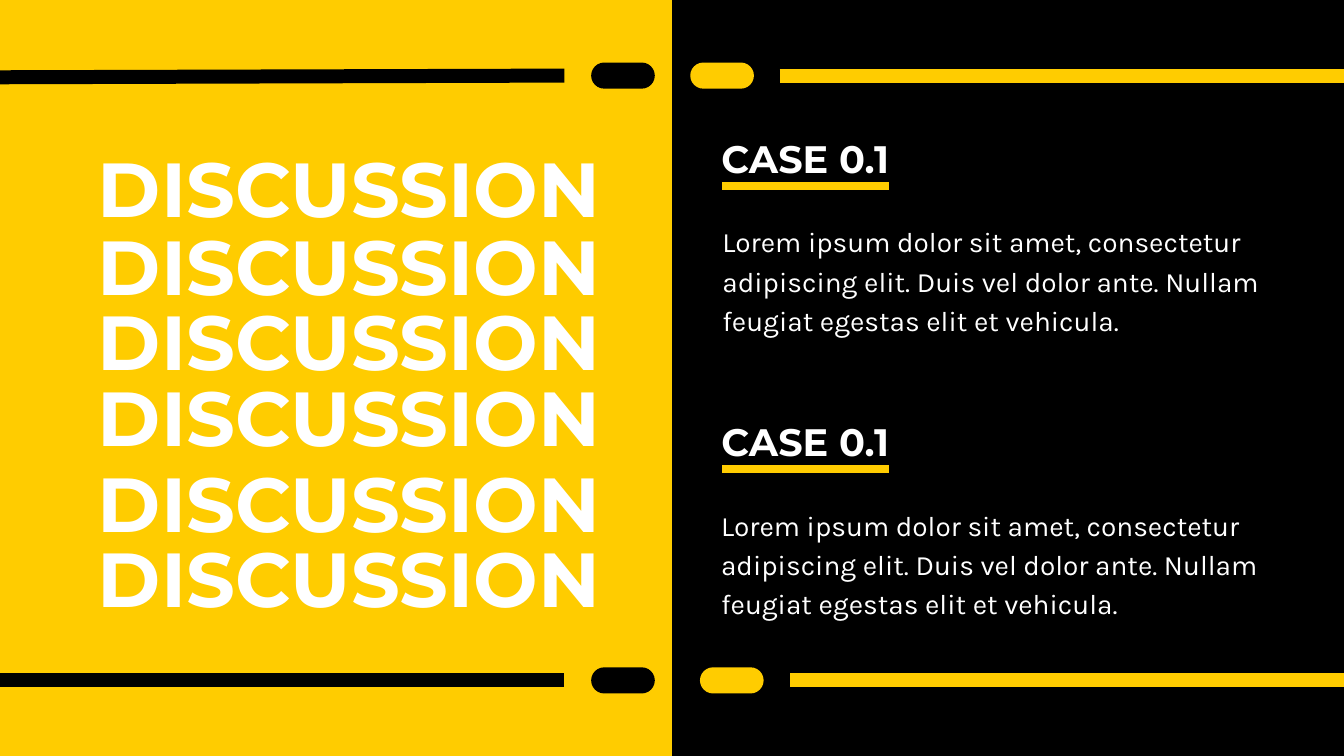
from lxml import etree
from pptx import Presentation
from pptx.dml.color import RGBColor
from pptx.enum import shapes, text
from pptx.oxml import ns
from pptx.util import Pt

YELLOW, BLACK, WHITE = "FFCC00", "000000", "FFFFFF"
WIDTH, HEIGHT = 1440, 810
HALF = WIDTH / 2
LOREM = ("Lorem ipsum dolor sit amet, consectetur adipiscing elit. "
         "Duis vel dolor ante. Nullam feugiat egestas elit et vehicula.")


def color(value):
    return RGBColor.from_string(value)


def add_block(slide, kind, box, fill):
    block = slide.shapes.add_shape(kind, *map(Pt, box))
    block.shadow.inherit = False
    block.fill.solid()
    block.fill.fore_color.rgb = color(fill)
    block.line.fill.background()
    return block


def add_rule(slide, start, end, stroke, weight):
    rule = slide.shapes.add_connector(
        shapes.MSO_CONNECTOR.STRAIGHT, *map(Pt, (*start, *end)))
    rule.line.color.rgb = color(stroke)
    rule.line.width = Pt(weight)
    etree.SubElement(rule._element.spPr, ns.qn("a:effectLst"))


def add_text(slide, box, words, *, font, size, spacing, bold=False,
             align=text.PP_ALIGN.LEFT):
    frame = slide.shapes.add_textbox(*map(Pt, box)).text_frame
    frame.word_wrap = True
    frame.margin_left = frame.margin_right = 0
    frame.margin_top = frame.margin_bottom = 0
    paragraph = frame.paragraphs[0]
    paragraph.alignment = align
    paragraph.line_spacing = Pt(spacing)
    run = paragraph.add_run()
    run.text = words
    run.font.name = font
    run.font.size = Pt(size)
    run.font.bold = bold
    run.font.color.rgb = color(WHITE)


def add_rail(slide, box, pill_left, line_start, line_end, fill, tilt=0):
    left, top, _, height = box
    middle = top + height / 2
    pill = add_block(slide, shapes.MSO_SHAPE.ROUNDED_RECTANGLE,
                     (left + pill_left, top, 68.2, height), fill)
    pill.adjustments[0] = 0.5
    add_rule(slide, (left + line_start, middle + tilt),
             (left + line_end, middle), fill, 15)


def add_title_panel(slide, box):
    left, top, width, _ = box
    add_block(slide, shapes.MSO_SHAPE.RECTANGLE, box, YELLOW)
    for rail_top, tilt in ((67, 1.8), (715, 0)):
        add_rail(slide, (left, top + rail_top, width, 28),
                 633.4, 0, 604.8, BLACK, tilt)
    for title_top in (134.6, 218.2, 298.1, 380.2, 472.3, 553):
        add_text(slide, (left + 80.6, top + title_top, 586.8, 110.2),
                 "DISCUSSION", font="Montserrat", size=82, spacing=114.8,
                 bold=True, align=text.PP_ALIGN.CENTER)


def add_case(slide, box, body_shift):
    left, top, width, _ = box
    add_text(slide, (left, top, 225.4, 54.7), "CASE 0.1",
             font="Montserrat", size=41, spacing=57.4, bold=True,
             align=text.PP_ALIGN.CENTER)
    add_rule(slide, (left + 23.8, top + 62.6), (left + 202.4, top + 62.6),
             YELLOW, 9)
    add_text(slide, (left + 23.8 + body_shift, top + 98.2, width - 23.8, 124.6),
             LOREM, font="Karla", size=30, spacing=42)


def add_case_panel(slide, box):
    left, top, width, _ = box
    add_block(slide, shapes.MSO_SHAPE.RECTANGLE, box, BLACK)
    for rail_top, pill_left, line_start in ((67, 19.6, 115.2),
                                            (715, 30, 126.7)):
        add_rail(slide, (left, top + rail_top, width, 28),
                 pill_left, line_start, width, YELLOW)
    for case_top, body_shift in ((136.8, 0), (440.2, -1.4)):
        add_case(slide, (left + 30.2, top + case_top, 607, 223), body_shift)


def main():
    deck = Presentation()
    deck.slide_width, deck.slide_height = Pt(WIDTH), Pt(HEIGHT)
    slide = deck.slides.add_slide(deck.slide_layouts[6])
    add_case_panel(slide, (HALF, 0, HALF, HEIGHT))
    add_title_panel(slide, (0, 0, HALF, HEIGHT))
    deck.save("out.pptx")


if __name__ == "__main__":
    main()
